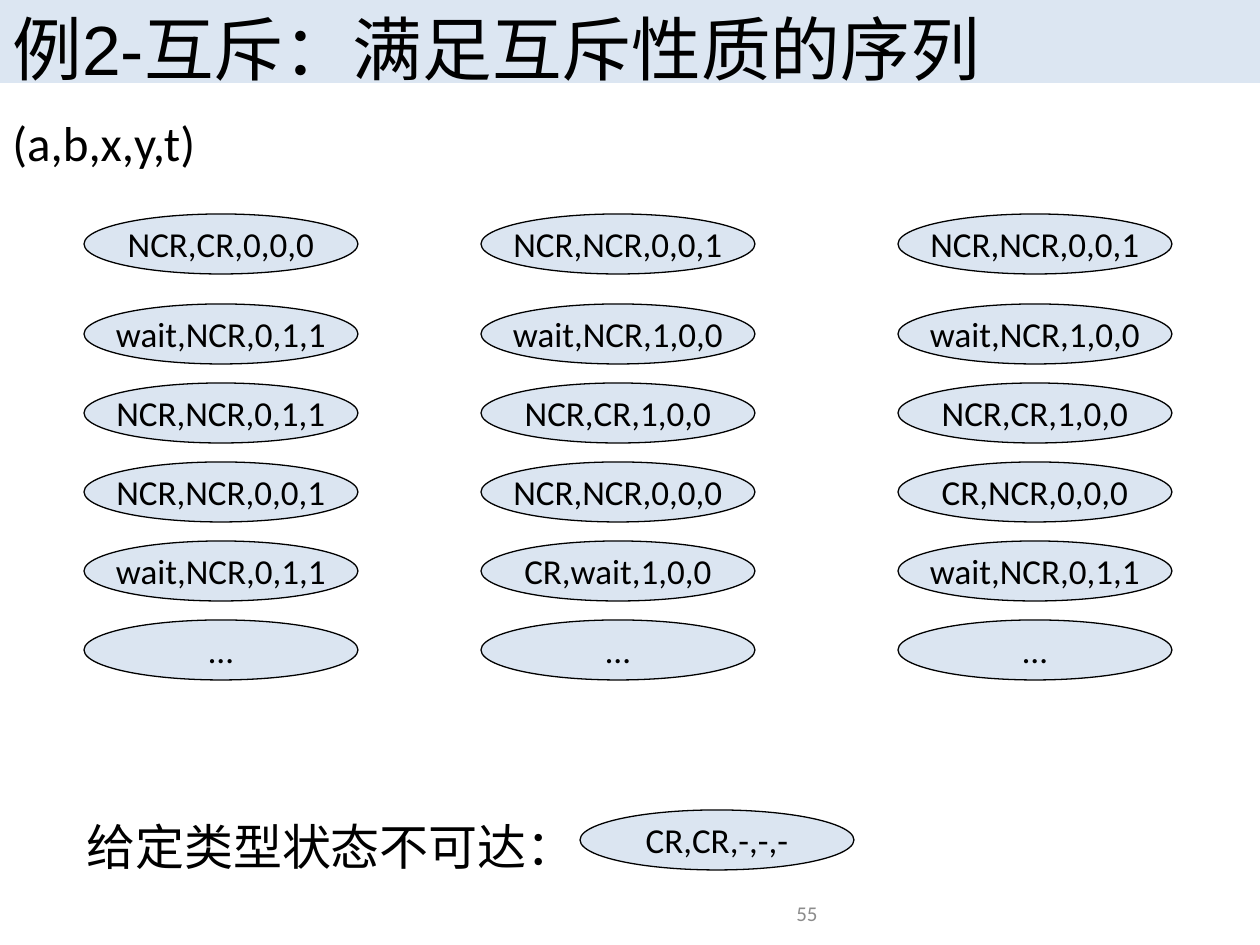
from lxml.etree import SubElement
from pptx import Presentation
from pptx.dml.color import RGBColor
from pptx.enum.shapes import MSO_SHAPE as Shape
from pptx.enum.text import MSO_ANCHOR as Anchor, PP_ALIGN as Align
from pptx.oxml.ns import qn
from pptx.util import Emu, Pt

SCALE = 914400 // 126  # EMU per px
STATE_WIDTH, STATE_HEIGHT = 274, 60


def color(value):
    return RGBColor.from_string(value)


def write(shape, text, size, font="Calibri", ink="000000", align=Align.LEFT, **frame_format):
    frame = shape.text_frame
    for name, value in ({"word_wrap": True, "vertical_anchor": Anchor.TOP} | frame_format).items():
        setattr(frame, name, value)
    para = frame.paragraphs[0]
    para.alignment = align
    span = para.add_run()
    span.text = text
    for name, value in {"name": font, "size": Pt(size)}.items():
        setattr(span.font, name, value)
    span.font.color.rgb = color(ink)


deck = Presentation()
deck.slide_width, deck.slide_height = Emu(1260 * SCALE), Emu(945 * SCALE)
page = deck.slides.add_slide(deck.slide_layouts[6])

# Title band
band = page.shapes.add_shape(Shape.RECTANGLE, 0, 0, deck.slide_width, Emu(83 * SCALE))
band.shadow.inherit = False
band.fill.solid()
band.fill.fore_color.rgb = color("DCE6F2")
band.line.fill.background()
write(band, "例2-互斥：满足互斥性质的序列", 39.8, font="Arial")

# Three state sequences, plus the unreachable state
sequences = {
    84: ["NCR,CR,0,0,0", "wait,NCR,0,1,1", "NCR,NCR,0,1,1", "NCR,NCR,0,0,1", "wait,NCR,0,1,1", "…"],
    481: ["NCR,NCR,0,0,1", "wait,NCR,1,0,0", "NCR,CR,1,0,0", "NCR,NCR,0,0,0", "CR,wait,1,0,0", "…"],
    898: ["NCR,NCR,0,0,1", "wait,NCR,1,0,0", "NCR,CR,1,0,0", "CR,NCR,0,0,0", "wait,NCR,0,1,1", "…"],
}
first_top, second_top, row_step = 214, 304, 79
tops = [first_top] + [second_top + row_step * row for row in range(5)]
states = [
    (left, top, text)
    for left, texts in sequences.items()
    for top, text in zip(tops, texts)
]
states.append((580, 810, "CR,CR,-,-,-"))

for left, top, text in states:
    state = page.shapes.add_shape(
        Shape.OVAL, *(Emu(px * SCALE) for px in (left, top, STATE_WIDTH, STATE_HEIGHT)))
    state.shadow.inherit = False
    state.fill.solid()
    state.fill.fore_color.rgb = color("4F81BD")
    tint = state.fill._xPr.find(qn("a:solidFill"))[0]
    SubElement(tint, qn("a:alpha"), val="20000")
    state.line.color.rgb = color("000000")
    state.line.width = Pt(0.75)
    write(state, text, 20, align=Align.CENTER, word_wrap=False, vertical_anchor=Anchor.MIDDLE)

# Captions and page number
captions = [
    ((0, 106, 1260, 72), "(a,b,x,y,t)", 28, {}),
    ((74, 810, 1062, 72), "给定类型状态不可达：", 28, {}),
    ((431, 876, 399, 50), "55", 12, {
        "ink": "8C8C8C", "align": Align.RIGHT,
        "vertical_anchor": Anchor.BOTTOM, "margin_bottom": 0}),
]
for place, text, size, text_format in captions:
    box = page.shapes.add_textbox(*(Emu(px * SCALE) for px in place))
    write(box, text, size, **text_format)

deck.save("out.pptx")
